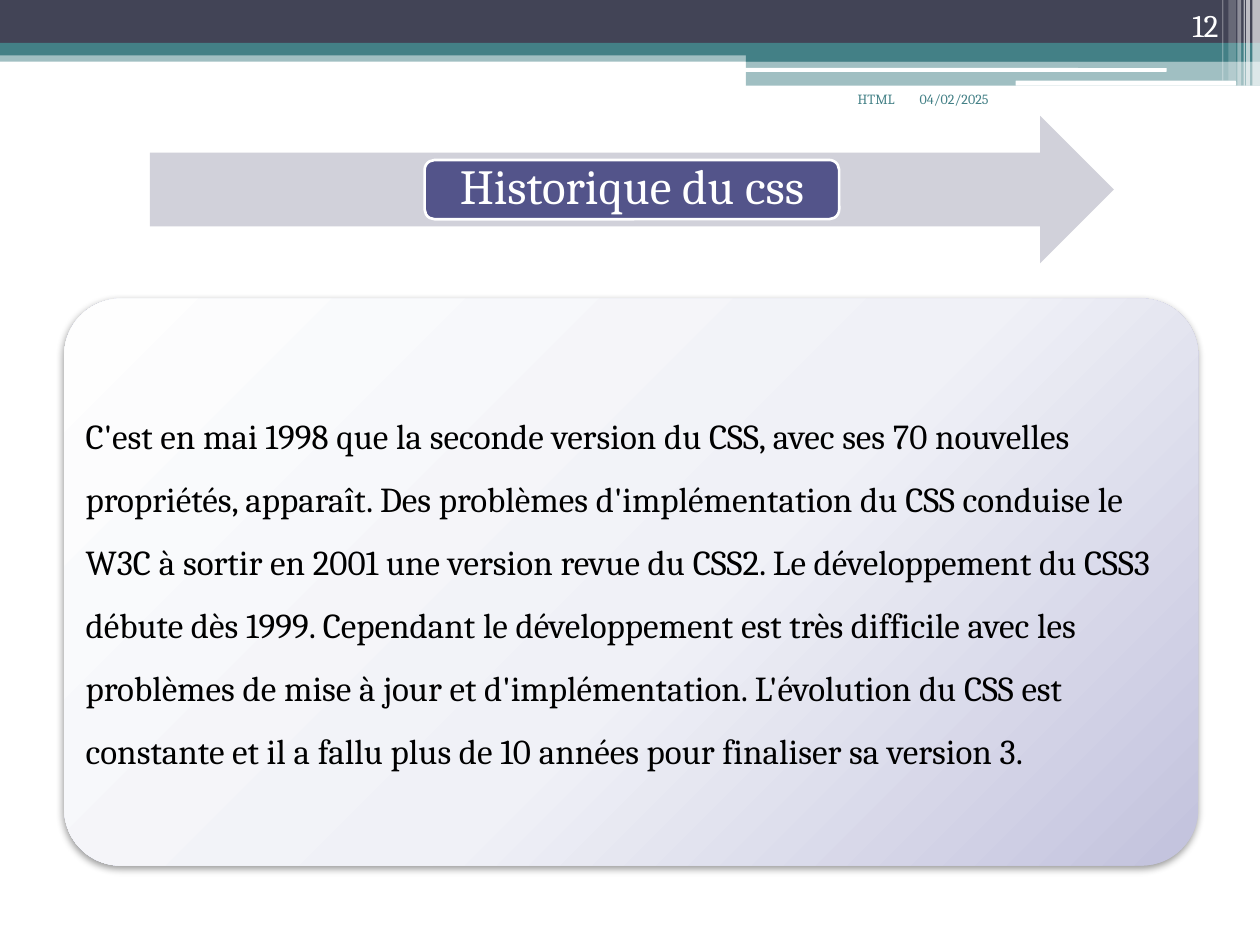
import pptx
import pptx.util
import pptx.dml.color
import pptx.enum.shapes
import pptx.enum.text
import pptx.oxml
import pptx.oxml.ns

Inches = pptx.util.Inches
Pt = pptx.util.Pt
Kind = pptx.enum.shapes.MSO_SHAPE
Align = pptx.enum.text.PP_ALIGN
Anchor = pptx.enum.text.MSO_ANCHOR
qn = pptx.oxml.ns.qn

FONT = "Cambria"
COLORS = {
    "navy": "424456", "teal": "438086", "white": "FFFFFF", "black": "000000",
    "arrow": "D1D1DA", "title": "53548A",
    "light": "FEFEFE", "mid": "F0F1F7", "dark": "C2C2DD",
}
BODY = (
    "C'est en mai 1998 que la seconde version du CSS, avec ses 70 nouvelles "
    "propriétés, apparaît. Des problèmes d'implémentation du CSS conduise le "
    "W3C à sortir en 2001 une version revue du CSS2. Le développement du CSS3 "
    "débute dès 1999. Cependant le développement est très difficile avec les "
    "problèmes de mise à jour et d'implémentation. L'évolution du CSS est "
    "constante et il a fallu plus de 10 années pour finaliser sa version 3."
)


def rgb(name):
    return pptx.dml.color.RGBColor.from_string(COLORS[name])


def node(xml):
    space = pptx.oxml.ns.nsdecls("a")
    return pptx.oxml.parse_xml(xml.replace(">", f" {space}>", 1))


def add_box(slide, box, color, kind=Kind.RECTANGLE, alpha=100, round=None):
    shape = slide.shapes.add_shape(kind, *map(Inches, box))
    shape.shadow.inherit = False
    shape.fill.solid()
    shape.fill.fore_color.rgb = rgb(color)
    shape.line.fill.background()
    if round is not None:
        shape.adjustments[0] = round
    if alpha < 100:
        tint = shape._element.spPr.find(".//" + qn("a:srgbClr"))
        tint.append(node(f'<a:alpha val="{alpha * 1000}"></a:alpha>'))
    return shape


def add_text(slide, box, text, size, color, align=Align.LEFT,
             anchor=Anchor.TOP, inset=(0.1, 0.05), space=None):
    frame = slide.shapes.add_textbox(*map(Inches, box)).text_frame
    frame.word_wrap = True
    frame.vertical_anchor = anchor
    frame.margin_left = frame.margin_right = Inches(inset[0])
    frame.margin_top = frame.margin_bottom = Inches(inset[1])
    para = frame.paragraphs[0]
    para.text = text
    para.alignment = align
    para.line_spacing = space
    para.font.name = FONT
    para.font.size = Pt(size)
    para.font.color.rgb = rgb(color)


def add_panel(slide, box):
    panel = add_box(slide, box, "mid", Kind.ROUNDED_RECTANGLE, round=0.1)
    props = panel._element.spPr
    stops = "".join(
        f'<a:gs pos="{pos * 1000}"><a:srgbClr val="{COLORS[name]}"/></a:gs>'
        for pos, name in ((0, "light"), (55, "mid"), (100, "dark")))
    props.replace(props.find(qn("a:solidFill")), node(
        f'<a:gradFill rotWithShape="1"><a:gsLst>{stops}</a:gsLst>'
        '<a:path path="circle"><a:fillToRect l="-40000" t="-90000" '
        'r="140000" b="190000"/></a:path></a:gradFill>'))
    props.find(qn("a:effectLst")).append(node(
        f'<a:outerShdw blurRad="{Pt(4.1)}" dist="{Pt(2)}" dir="5400000" '
        f'rotWithShape="0"><a:srgbClr val="{COLORS["black"]}">'
        '<a:alpha val="40000"/></a:srgbClr></a:outerShdw>'))


def add_bands(slide):
    # Bars across the top
    for box, color, alpha in (
            ((0, 0.4, 10, 0.09), "teal", 50),
            ((0, 0, 10, 0.34), "navy", 100),
            ((0, 0.34, 10, 0.1), "teal", 100),
            ((5.92, 0.39, 4.08, 0.1), "teal", 100),
            ((5.92, 0.48, 4.08, 0.2), "teal", 50)):
        add_box(slide, box, color, alpha=alpha)
    # White rules
    for box in ((5.91, 0.54, 3.35, 0.03), (8.06, 0.64, 1.75, 0.04)):
        add_box(slide, box, "white", Kind.ROUNDED_RECTANGLE, round=0.167)
    # Thin stripes at the right edge
    for left, width, height, alpha in (
            (9.94, 0.06, 0.68, 65), (9.89, 0.03, 0.68, 65),
            (9.87, 0.01, 0.68, 60), (9.82, 0.03, 0.68, 40),
            (9.75, 0.06, 0.64, 20), (9.7, 0.01, 0.64, 30)):
        add_box(slide, (left, 0, width, height), "white", alpha=alpha)


def main():
    deck = pptx.Presentation()
    deck.slide_width, deck.slide_height = Inches(10), Inches(7.5)
    slide = deck.slides.add_slide(deck.slide_layouts[6])
    add_bands(slide)

    # Title on its arrow
    add_box(slide, (1.19, 0.92, 7.65, 1.17), "arrow", Kind.RIGHT_ARROW)
    label = add_box(slide, (3.37, 1.27, 3.29, 0.47), "title",
                    Kind.ROUNDED_RECTANGLE)
    label.line.color.rgb = rgb("white")
    label.line.width = Pt(1.5)
    add_text(slide, (3.39, 1.29, 3.25, 0.42), "Historique du css", 28, "white",
             Align.CENTER, Anchor.MIDDLE, (0.12, 0.12), 0.9)

    # Body panel
    add_panel(slide, (0.51, 2.37, 9, 4.5))
    add_text(slide, (0.64, 2.5, 8.74, 4.24), BODY, 20, "black",
             anchor=Anchor.MIDDLE, inset=(0.04, 0.03), space=1.5)

    # Date, footer and page number
    add_text(slide, (7.2, 0.67, 1.05, 0.5), "04/02/2025", 8, "teal")
    add_text(slide, (5.75, 0.67, 1.45, 0.5), "HTML", 8, "teal", Align.RIGHT)
    add_text(slide, (8.94, 0, 0.83, 0.4), "12", 18, "white", Align.RIGHT,
             Anchor.BOTTOM)

    deck.save("out.pptx")


if __name__ == "__main__":
    main()
